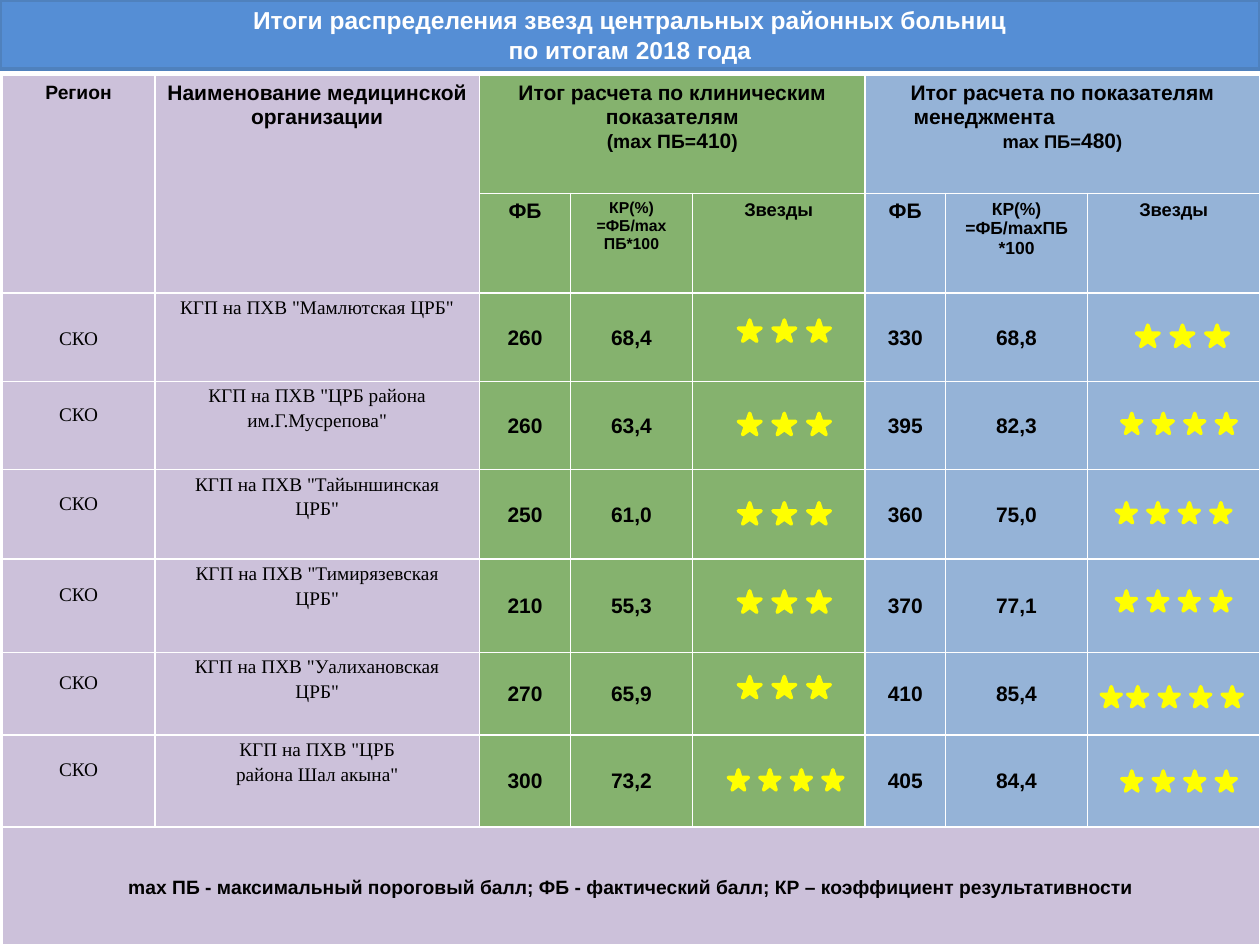
from lxml.etree import SubElement
from pptx import Presentation
from pptx.dml.color import RGBColor
from pptx.enum.shapes import MSO_SHAPE
from pptx.enum.text import MSO_ANCHOR, PP_ALIGN
from pptx.oxml.ns import qn
from pptx.util import Pt

LILAC, GREEN, BLUE, YELLOW = "CCC1DA", "85B26E", "95B3D7", "FFFF00"
SERIF = "Times New Roman"


def paint(target, color):
    """Give a fill a solid colour."""
    target.solid()
    target.fore_color.rgb = RGBColor.from_string(color)


def fill_cell(cell, color, text="", size=12, font="Arial", bold=True, spacing=1,
              anchor=MSO_ANCHOR.TOP, margins=(7.2, 3.6, 7.2, 3.6)):
    """Set the fill, margins, white borders and centred text of a cell."""
    cell.margin_left, cell.margin_top, cell.margin_right, cell.margin_bottom = map(Pt, margins)
    cell.vertical_anchor = anchor
    cell.text_frame.text = text
    for paragraph in cell.text_frame.paragraphs:
        paragraph.alignment = PP_ALIGN.CENTER
        paragraph.line_spacing = spacing
        paragraph.font.size = Pt(size)
        for span in paragraph.runs:
            span.font.size = Pt(size)
            span.font.name = font
            span.font.bold = bold
            paint(span.font.fill, "000000")
    properties = cell._tc.get_or_add_tcPr()
    for position, side in enumerate(("lnL", "lnR", "lnT", "lnB")):
        border = properties.makeelement(qn(f"a:{side}"), {"w": str(Pt(1))})
        properties.insert(position, border)
        solid = SubElement(border, qn("a:solidFill"))
        SubElement(solid, qn("a:srgbClr"), val="FFFFFF")
    paint(cell.fill, color)


deck = Presentation()
deck.slide_width, deck.slide_height = Pt(720), Pt(540)
page = deck.slides.add_slide(deck.slide_layouts[6])

# Title band
band = page.shapes.add_shape(MSO_SHAPE.RECTANGLE, 0, 0, Pt(720), Pt(39.6))
band.shadow.inherit = False
paint(band.fill, "558ED5")
paint(band.line.fill, "4F81BD")
band.line.width = Pt(2)
band.text_frame.word_wrap = True
band.text_frame.vertical_anchor = MSO_ANCHOR.MIDDLE
band.text_frame.text = "Итоги распределения звезд центральных районных больниц\vпо итогам 2018 года"
heading = band.text_frame.paragraphs[0]
heading.alignment = PP_ALIGN.CENTER
for span in heading.runs:
    span.font.size = Pt(14)
    span.font.name = "Arial"
    span.font.bold = True
    paint(span.font.fill, "FFFFFF")

# Table grid
widths = [87.1, 185.6, 52, 69.6, 98.7, 46, 81.2, 98.4]
heights = [67.3, 57, 50.4, 50.5, 51, 53.4, 47.2, 52.8, 67.4]
frame = page.shapes.add_table(len(heights), len(widths), Pt(1.4), Pt(43.2),
                              Pt(sum(widths)), Pt(sum(heights)))
table = frame.table
for column, width in zip(table.columns, widths):
    column.width = Pt(width)
for row, height in zip(table.rows, heights):
    row.height = Pt(height)
for top, left, bottom, right in [(0, 0, 1, 0), (0, 1, 1, 1), (0, 2, 0, 4), (0, 5, 0, 7), (8, 0, 8, 7)]:
    table.cell(top, left).merge(table.cell(bottom, right))

# Header rows
headers = [
    (0, 0, LILAC, "Регион", 11),
    (0, 1, LILAC, "Наименование медицинской организации", 12),
    (0, 2, GREEN, "Итог расчета по клиническим показателям\n(mах ПБ=410)", 12),
    (0, 5, BLUE, "Итог расчета по показателям\nменеджмента\nmах ПБ=480)", 12),
    (1, 2, GREEN, "ФБ", 12),
    (1, 3, GREEN, "КР(%)\n=ФБ/mах ПБ*100", 9),
    (1, 4, GREEN, "Звезды", 10.5),
    (1, 5, BLUE, "ФБ", 12),
    (1, 6, BLUE, "КР(%)\n=ФБ/mахПБ *100", 10),
    (1, 7, BLUE, "Звезды", 10.5),
]
for row, column, color, text, size in headers:
    fill_cell(table.cell(row, column), color, text, size)

# The threshold lines keep the number larger than the words around it
for column, opening, number, size in [(2, "(mах ПБ=", "410", 11), (5, "mах ПБ=", "480", 10.5)]:
    paragraph = table.cell(0, column).text_frame.paragraphs[-1]
    paragraph.text = ""
    for text, points in [(opening, size), (number, 12), (")", size)]:
        span = paragraph.add_run()
        span.text = text
        span.font.size = Pt(points)
        span.font.name = "Arial"
        span.font.bold = True
        paint(span.font.fill, "000000")

# The second line of the management header is set off to the left
shifted = table.cell(0, 5).text_frame.paragraphs[1]
shifted.alignment = PP_ALIGN.LEFT
shifted._p.get_or_add_pPr().set("marL", str(Pt(20.5)))

# Hospitals: name, clinical scores, management scores, star groups (left, top, count)
hospitals = [
    ('КГП на ПХВ "Мамлютская ЦРБ"', "260", "68,4", "330", "68,8",
     [(421.9, 182.9, 3), (649.4, 185.8, 3)]),
    ('КГП на ПХВ "ЦРБ района им.Г.Мусрепова"', "260", "63,4", "395", "82,3",
     [(421.9, 236.2, 3), (641, 236.2, 4)]),
    ('КГП на ПХВ "Тайыншинская\nЦРБ"', "250", "61,0", "360", "75,0",
     [(421.9, 287.3, 3), (637.9, 287.3, 4)]),
    ('КГП на ПХВ "Тимирязевская\nЦРБ"', "210", "55,3", "370", "77,1",
     [(421.9, 337.7, 3), (637.9, 337.7, 4)]),
    ('КГП на ПХВ "Уалихановская\nЦРБ"', "270", "65,9", "410", "85,4",
     [(421.9, 386.6, 3), (629.3, 392.4, 1), (644.4, 392.4, 4)]),
    ('КГП на ПХВ "ЦРБ\nрайона Шал акына"', "300", "73,2", "405", "84,4",
     [(416.2, 439.9, 4), (641, 440.6, 4)]),
]
tight = (0.7, 0.7, 0.7, 0)
for row, (name, *scores, star_groups) in enumerate(hospitals, start=2):
    lift = 0 if row == 2 else 14
    fill_cell(table.cell(row, 0), LILAC, "СКО", 11, SERIF, False, 1.15,
              MSO_ANCHOR.MIDDLE, (5, 0, 5, lift))
    fill_cell(table.cell(row, 1), LILAC, name, 11, SERIF, False, 1.15, margins=tight)
    for column, score in zip((2, 3, 5, 6), scores):
        fill_cell(table.cell(row, column), GREEN if column < 5 else BLUE, score,
                  anchor=MSO_ANCHOR.MIDDLE, margins=tight)
    fill_cell(table.cell(row, 4), GREEN)
    fill_cell(table.cell(row, 7), BLUE)

    # Stars of the row
    for left, top, count in star_groups:
        width, height, step = (13, 12.2, 19.8) if count == 3 else (11.5, 11.5, 18)
        group = page.shapes.add_group_shape()
        for index in range(count):
            star = group.shapes.add_shape(MSO_SHAPE.STAR_5_POINT, Pt(left + index * step),
                                          Pt(top), Pt(width), Pt(height))
            star.shadow.inherit = False
            paint(star.fill, YELLOW)
            paint(star.line.fill, YELLOW)
            star.line.width = Pt(2)
            SubElement(star.line._get_or_add_ln(), qn("a:round"))

# Legend row
fill_cell(table.cell(8, 0), LILAC,
          "mах ПБ - максимальный пороговый балл; ФБ - фактический балл; "
          "КР – коэффициент результативности",
          11, spacing=1.15, anchor=MSO_ANCHOR.MIDDLE, margins=(5, 0, 5, 0))

deck.save("out.pptx")
